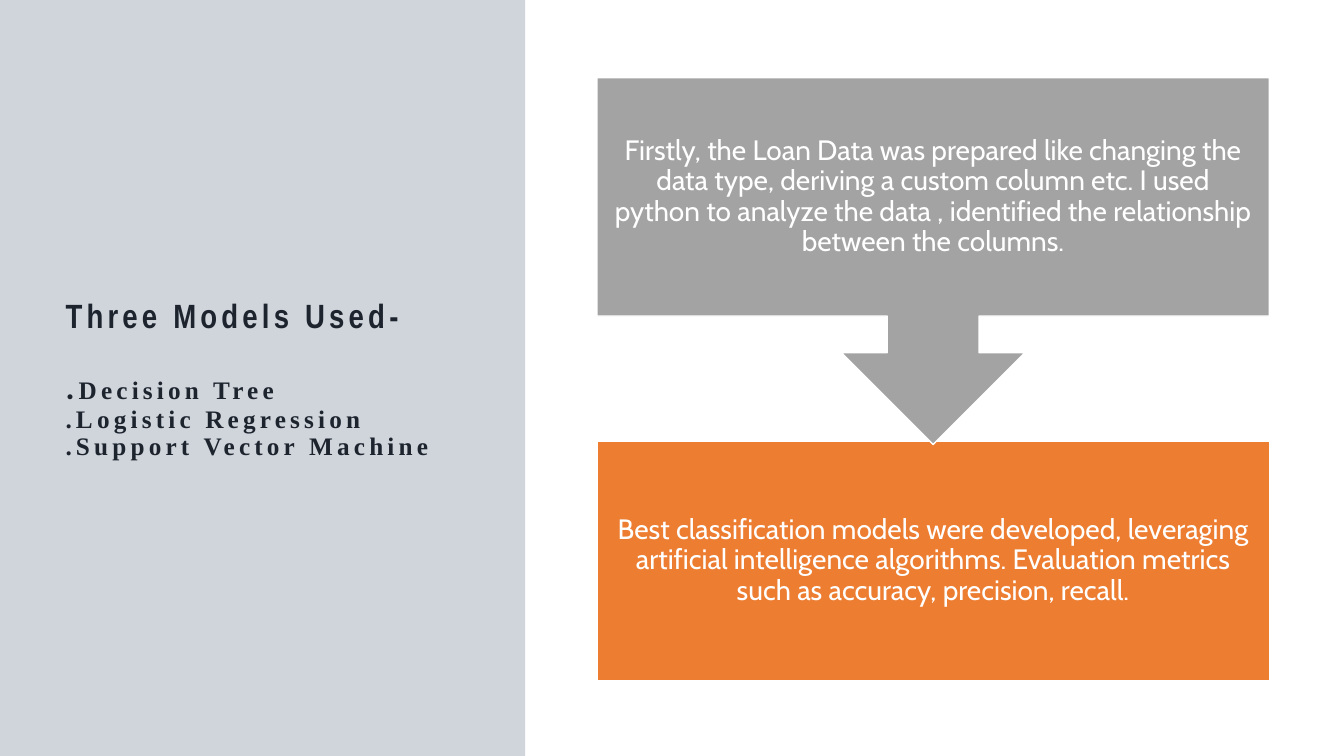
from dataclasses import dataclass

from lxml.etree import SubElement
from pptx import Presentation
from pptx.dml.color import RGBColor
from pptx.enum.shapes import MSO_SHAPE as Preset
from pptx.enum.text import MSO_ANCHOR as Anchor, MSO_AUTO_SIZE as AutoSize, PP_ALIGN as Align
from pptx.oxml.ns import qn
from pptx.util import Inches, Pt


@dataclass(frozen=True)
class Theme:
    panel: str = "475871"
    heading: str = "1D242E"
    prepare: str = "A3A3A3"
    develop: str = "ED7D31"
    light: str = "FFFFFF"
    heading_font: str = "Arial Narrow"
    dot_font: str = "Calibri"
    model_font: str = "Times New Roman"
    step_font: str = "Cabin"
    heading_size: int = 24
    model_size: int = 18
    step_size: int = 20
    line_spacing: float = 0.9


THEME = Theme()


def add_text(paragraph, text, *, font, size, color, bold=False, tracking=0):
    run = paragraph.add_run()
    run.text = text
    run.font.name = font
    run.font.size = Pt(size)
    run.font.bold = bold
    run.font.color.rgb = RGBColor.from_string(color)
    if tracking:
        run.font._element.set("spc", str(tracking * 100))


def add_block(slide, preset, left, top, width, height, fill):
    block = slide.shapes.add_shape(
        preset, Inches(left), Inches(top), Inches(width), Inches(height))
    block.shadow.inherit = False
    block.fill.solid()
    block.fill.fore_color.rgb = RGBColor.from_string(fill)
    block.line.fill.background()
    return block


def add_side_panel(slide):
    panel = add_block(slide, Preset.RECTANGLE, 0, 0, 5.21, 7.5, THEME.panel)
    tint = panel._element.spPr.find(qn("a:solidFill"))[0]
    SubElement(tint, qn("a:alpha")).set("val", "25000")
    slide.shapes._spTree.insert(2, panel._element)


def add_models_title(slide, heading, models):
    title = slide.shapes.title
    title.left, title.top = Inches(0.55), Inches(0.77)
    title.width, title.height = Inches(4.5), Inches(6)
    frame = title.text_frame
    frame.auto_size = AutoSize.NONE
    frame.vertical_anchor = Anchor.MIDDLE
    style = dict(color=THEME.heading, bold=True, tracking=3)

    add_text(frame.paragraphs[0], heading, font=THEME.heading_font,
             size=THEME.heading_size, **style)
    for index, model in enumerate(models):
        line = frame.add_paragraph()
        if index == 0:
            line.space_before = Pt(25)
            add_text(line, ".", font=THEME.dot_font, size=THEME.heading_size, **style)
        else:
            model = "." + model
        add_text(line, model, font=THEME.model_font, size=THEME.model_size, **style)
    for line in frame.paragraphs:
        line.alignment = Align.LEFT
        line.line_spacing = THEME.line_spacing


def add_step(slide, preset, top, height, fill, text):
    step = add_block(slide, preset, 5.92, top, 6.67, height, fill)
    step.line.color.rgb = RGBColor.from_string(THEME.light)
    step.line.width = Pt(1)
    frame = step.text_frame
    frame.word_wrap = True
    frame.vertical_anchor = Anchor.MIDDLE
    frame.margin_left = frame.margin_right = Inches(0.16)
    frame.margin_top = frame.margin_bottom = Inches(0.16)
    paragraph = frame.paragraphs[0]
    paragraph.alignment = Align.CENTER
    paragraph.line_spacing = THEME.line_spacing
    add_text(paragraph, text, font=THEME.step_font, size=THEME.step_size,
             color=THEME.light)
    return step


def main():
    deck = Presentation()
    deck.slide_width, deck.slide_height = Inches(13.33), Inches(7.5)
    slide = deck.slides.add_slide(deck.slide_layouts[5])

    add_side_panel(slide)
    add_models_title(
        slide, "Three Models Used-",
        ["Decision Tree", "Logistic Regression", "Support Vector Machine"])
    add_step(
        slide, Preset.RECTANGLE, 4.38, 2.37, THEME.develop,
        "Best classification models were developed, leveraging artificial "
        "intelligence algorithms. Evaluation metrics such as accuracy, "
        "precision, recall.")
    preparation = add_step(
        slide, Preset.DOWN_ARROW_CALLOUT, 0.77, 3.64, THEME.prepare,
        "Firstly, the Loan Data was prepared like changing the data type, "
        "deriving a custom column etc. I used python to analyze the data , "
        "identified the relationship between the columns.")
    preparation.adjustments[3] = 0.65

    deck.save("out.pptx")


if __name__ == "__main__":
    main()
